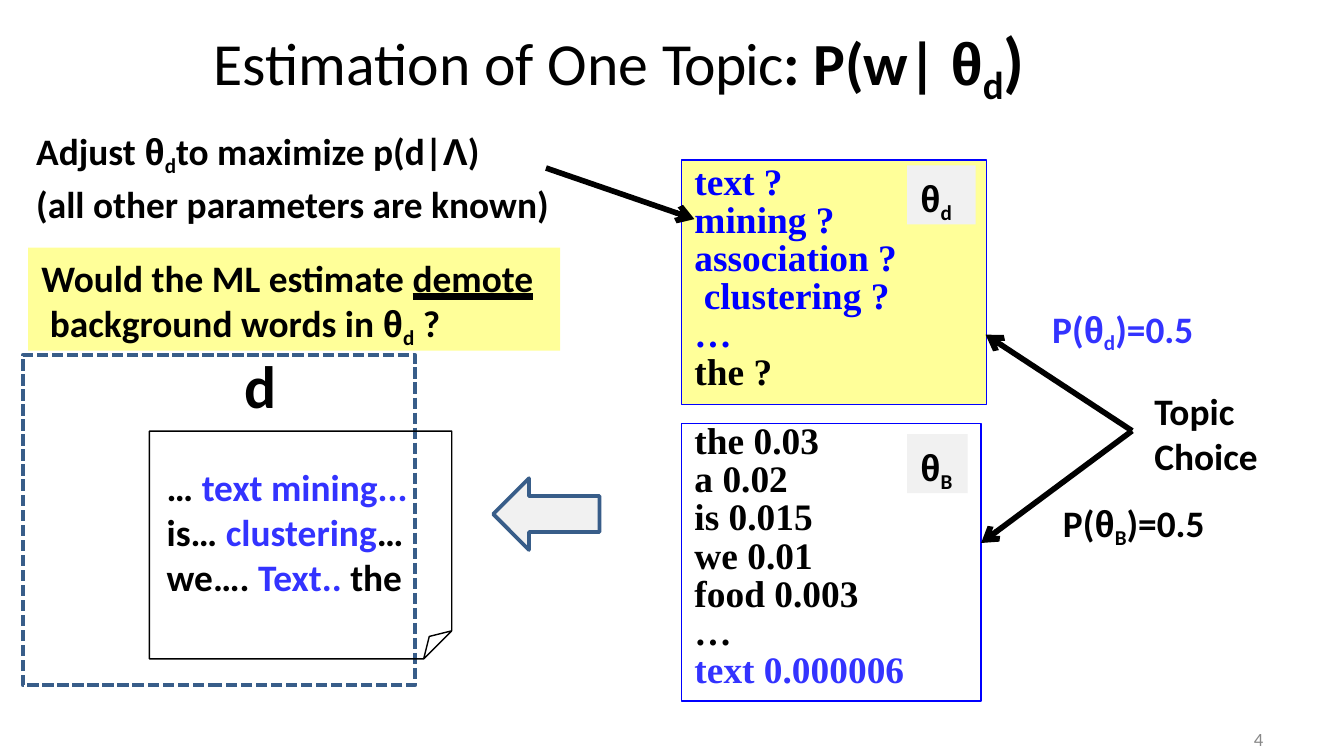
"""Build the slide on estimating one topic of a two-topic mixture."""
from lxml.etree import SubElement
from pptx import Presentation
from pptx.dml.color import RGBColor
from pptx.enum.dml import MSO_LINE_DASH_STYLE as Dash
from pptx.enum.shapes import MSO_CONNECTOR as Connector, MSO_SHAPE as Shape
from pptx.enum.text import MSO_ANCHOR as Anchor, MSO_AUTO_SIZE as AutoSize
from pptx.enum.text import MSO_UNDERLINE as Underline, PP_ALIGN as Align
from pptx.oxml.ns import qn
from pptx.util import Pt

BLACK = RGBColor(0, 0, 0)
BLUE = RGBColor(0x00, 0x00, 0xFF)
VIOLET = RGBColor(0x33, 0x33, 0xFF)
STEEL = RGBColor(0x38, 0x5D, 0x89)
YELLOW = RGBColor(0xFF, 0xFF, 0x99)
PALE = RGBColor(0xF1, 0xF1, 0xF1)
GREY = RGBColor(0x88, 0x88, 0x88)

BODY = {"name": "Calibri", "size": Pt(20), "bold": True, "color": BLACK}
WORDS = BODY | {"name": "Times New Roman"}
HEADING = BODY | {"size": Pt(32), "bold": False}
GREEK = {"name": "Arial"}
SUB = {"size": Pt(19.5), "baseline": "-21000"}
ACCENT = {"color": VIOLET}
STRONG = {"bold": True}
BIG = {"bold": True, "size": Pt(36)}


def theta(index, extra=None):
    extra = extra or {}
    return [("θ", GREEK | extra), (index, SUB | extra)]


def prior(index, extra=None):
    extra = extra or {}
    return [("P(", extra), *theta(index, extra), (")=0.5", extra)]


TITLE = [[("Estimation of One ", {}), ("Topic", {"spc": "-60"}), (": P(w| ", STRONG),
          ("θ", GREEK | STRONG), ("d", BIG | {"baseline": "-21000"}), (")", BIG)]]
TOPIC_WORDS = [[(word, {"color": BLUE})] for word in
               ("text ?", "mining ?", "association ?", "clustering ?", "…")] + [[("the ?", {})]]
BACKGROUND_WORDS = [[(word, {})] for word in
                    ("the 0.03", "a 0.02", "is 0.015", "we 0.01", "food 0.003", "…")]
BACKGROUND_WORDS.append([("text 0.000006", ACCENT)])
GOAL = [[("Adjust ", {}), *theta("d"), ("to maximize p(d|", {}), ("Λ", GREEK), (")", {})],
        [("(all other parameters are known)", {})]]
QUESTION = [[("Would the ML estimate ", {}), ("demote", {"underline": Underline.HEAVY_LINE})],
            [("background words in ", {}), *theta("d"), (" ?", {})]]
DOCUMENT = [[("… ", {}), ("text mining...", ACCENT)],
            [("is… ", {}), ("clustering", ACCENT), ("…", {})],
            [("we…. ", {}), ("Text.. ", ACCENT), ("the", {})]]
CHOICE = [prior("d", ACCENT), [("Topic", {})], [("Choice", {})], prior("B")]

SHEET = [(226.8, 352.8), (229.7, 340.6), (242, 337.7), (226.8, 352.8),
         (80, 352.8), (80, 231.2), (242, 231.2), (242, 337.7)]
FORK = (606.5, 230.8)
ARROWS = [((292.5, 90), (372, 117.4)), (FORK, (528, 179.3)), (FORK, (525.6, 290.9))]


def write(box, lines, base=BODY, inset=(0, 1.8), pitch=None, indents=(), gaps=()):
    frame = box.text_frame
    layout = {"word_wrap": True, "auto_size": AutoSize.NONE, "vertical_anchor": Anchor.TOP,
              "margin_left": Pt(inset[0]), "margin_top": Pt(inset[1]),
              "margin_right": 0, "margin_bottom": 0}
    for key, value in layout.items():
        setattr(frame, key, value)
    for row, line in enumerate(lines):
        para = frame.paragraphs[0] if row == 0 else frame.add_paragraph()
        para.alignment = Align.LEFT
        if pitch:
            para.line_spacing = Pt(pitch)
        if indents:
            para._p.get_or_add_pPr().set("marL", str(Pt(indents[row])))
        if gaps and gaps[row]:
            para.space_before = Pt(gaps[row])
        for text, extra in line:
            span = para.add_run()
            span.text = text
            for key, value in (base | extra).items():
                if key == "color":
                    span.font.color.rgb = value
                elif key in ("baseline", "spc"):
                    span._r.get_or_add_rPr().set(key, value)
                else:
                    setattr(span.font, key, value)


def add_box(page, place, lines, **options):
    write(page.shapes.add_textbox(*map(Pt, place)), lines, **options)


def paint(figure, fill=None, line=None, width=0.75):
    figure.shadow.inherit = False
    if fill is None:
        figure.fill.background()
    else:
        figure.fill.solid()
        figure.fill.fore_color.rgb = fill
    if line is None:
        figure.line.fill.background()
    else:
        figure.line.color.rgb = line
        figure.line.width = Pt(width)
    return figure


def add_figure(page, kind, place, *colours):
    return paint(page.shapes.add_shape(kind, *map(Pt, place)), *colours)


def add_arrow(page, start, end):
    arrow = page.shapes.add_connector(Connector.STRAIGHT, *map(Pt, start + end))
    arrow.line.color.rgb = BLACK
    arrow.line.width = Pt(3)
    SubElement(arrow.line._get_or_add_ln(), qn("a:tailEnd"), type="arrow")
    SubElement(arrow._element.spPr, qn("a:effectLst"))


def main():
    deck = Presentation()
    deck.slide_width, deck.slide_height = Pt(720), Pt(405)
    page = deck.slides.add_slide(deck.slide_layouts[5])

    frame = add_figure(page, Shape.RECTANGLE, (12.2, 190.1, 210.2, 177.1), None, STEEL, 2)
    frame.line.dash_style = Dash.SQUARE_DOT

    title = page.shapes.title
    title.left, title.top, title.width, title.height = map(Pt, (114.5, 8, 455, 46))
    write(title, TITLE, HEADING)
    add_box(page, (671.8, 388, 20, 14), [[("4", {})]],
            base=BODY | {"size": Pt(10), "bold": False, "color": GREY})

    topic = add_figure(page, Shape.RECTANGLE, (365, 85.7, 163.4, 131), YELLOW, BLUE)
    write(topic, TOPIC_WORDS, WORDS, (7.2, 2.6), 20.4, (0, 0, 0, 5, 0, 0))
    background = add_figure(page, Shape.RECTANGLE, (365, 227, 160.6, 148.5), None, BLUE)
    write(background, BACKGROUND_WORDS, WORDS, (7.2, 0.3), 20.4)
    for index, top, width in (("d", 88.6, 36.7), ("B", 232.6, 32.4)):
        label = add_figure(page, Shape.RECTANGLE, (486, top, width, 31.7), PALE)
        write(label, [theta(index)], inset=(7.2, 5.3))

    add_box(page, (563, 162, 130, 128), CHOICE,
            indents=(0.7, 55.4, 55.4, 6.5), gaps=(0, 17.9, 0, 12.1))
    add_box(page, (89.3, 247, 140, 74), DOCUMENT)
    outline = page.shapes.build_freeform(*SHEET[0], scale=Pt(1))
    outline.add_line_segments(SHEET[1:], close=False)
    paint(outline.convert_to_shape(), None, BLACK)
    add_box(page, (131, 185, 22, 40), [[("d", {"size": Pt(32)})]])
    add_figure(page, Shape.LEFT_ARROW, (264.2, 256.2, 57, 38.4), PALE, STEEL, 2)
    add_box(page, (18.7, 69, 290, 54), GOAL, inset=(0.7, 0), pitch=26)
    for start, end in ARROWS:
        add_arrow(page, start, end)
    question = add_figure(page, Shape.RECTANGLE, (15.1, 132.6, 285, 55.3), YELLOW)
    write(question, QUESTION, inset=(7.2, 4.3), indents=(0, 4.5))

    deck.save("out.pptx")


if __name__ == "__main__":
    main()
